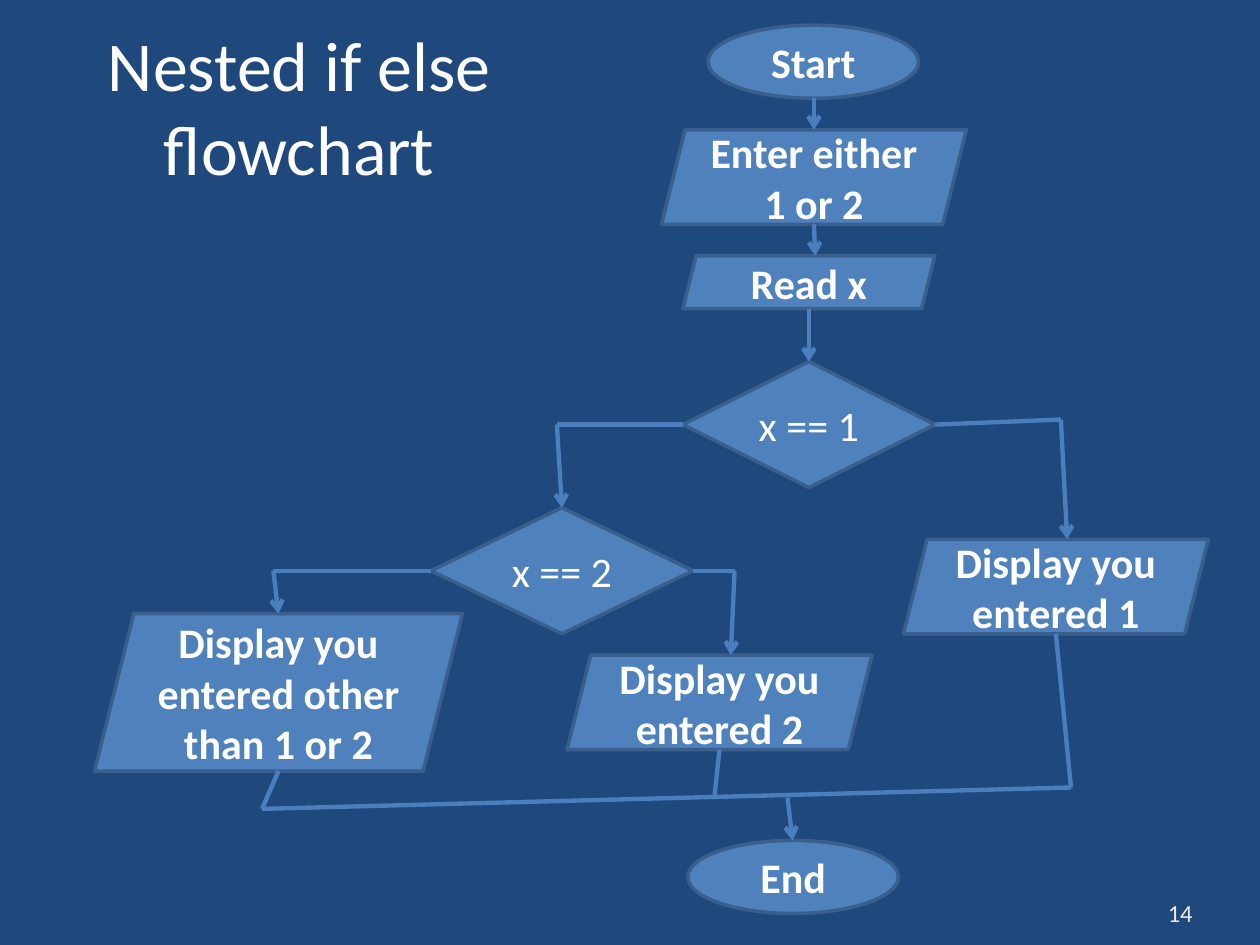
from itertools import pairwise
from lxml.etree import SubElement as Sub
from pptx import Presentation
from pptx.dml.color import RGBColor as RGB
from pptx.enum.shapes import MSO_CONNECTOR as Conn, MSO_SHAPE as Shape
from pptx.enum.text import MSO_ANCHOR as Anchor, PP_ALIGN as Align
from pptx.oxml.ns import qn
from pptx.util import Inches, Pt

OVAL, SLANT, GEM = Shape.OVAL, Shape.PARALLELOGRAM, Shape.DIAMOND

NODES = [
    (OVAL, "Start", 5.62, 0.2, 1.67, 0.58),
    (SLANT, "Enter either 1 or 2", 5.25, 1.03, 2.42, 0.75),
    (SLANT, "Read x", 5.42, 2.03, 2, 0.42),
    (GEM, "x == 1", 5.42, 2.87, 2, 1),
    (SLANT, "Display you entered 1", 7.17, 4.28, 2.42, 0.75),
    (GEM, "x == 2", 3.42, 4.03, 2.08, 1),
    (SLANT, "Display you entered 2", 4.5, 5.2, 2.42, 0.75),
    (SLANT, "Display you entered other than 1 or 2", 0.75, 4.87, 2.92, 1.25),
    (OVAL, "End", 5.46, 6.67, 1.67, 0.58),
]

FLOWS = [
    [(6.46, 0.78), (6.46, 1.03)],
    [(6.46, 1.78), (6.47, 2.03)],
    [(6.42, 2.45), (6.42, 2.87)],
    [(7.42, 3.37), (8.42, 3.33), (8.47, 4.28)],
    [(5.42, 3.37), (4.42, 3.37), (4.46, 4.03)],
    [(5.5, 4.53), (5.83, 4.53), (5.8, 5.2)],
    [(3.42, 4.53), (2.17, 4.53), (2.21, 4.87)],
    [(6.25, 6.33), (6.29, 6.67)],
]

JOINS = [
    [(2.21, 6.12), (2.08, 6.42), (8.5, 6.25), (8.38, 5.03)],
    [(5.71, 5.95), (5.67, 6.33)],
]


def paint(fmt, hue):
    """Give a fill a solid colour."""
    fmt.solid()
    fmt.fore_color.rgb = RGB.from_string(hue)


def write(shape, text, size, hue="FFFFFF", bold=False, align=Align.CENTER):
    """Put one styled run in a shape."""
    frame = shape.text_frame
    frame.word_wrap = True
    frame.vertical_anchor = Anchor.MIDDLE
    para = frame.paragraphs[0]
    para.alignment = align
    run = para.add_run()
    run.text = text
    font = run.font
    font.name, font.size, font.bold = "Calibri", Pt(size), bold
    paint(font.fill, hue)


def label(slide, box, text, size, **style):
    """Add a text box."""
    shape = slide.shapes.add_textbox(*map(Inches, box))
    write(shape, text, size, **style)


def node(slide, kind, text, *box):
    """Add one flowchart step."""
    shape = slide.shapes.add_shape(kind, *map(Inches, box))
    shape.shadow.inherit = False
    paint(shape.fill, "4F81BD")
    paint(shape.line.fill, "3A5F8C")
    shape.line.width = Pt(2)
    write(shape, text, 24, bold=kind != GEM)


def link(slide, start, end, arrow):
    """Add one straight line, with an arrowhead if asked."""
    ends = map(Inches, (*start, *end))
    wire = slide.shapes.add_connector(Conn.STRAIGHT, *ends)
    paint(wire.line.fill, "4B7EBC")
    wire.line.width = Pt(2.5)
    if arrow:
        Sub(wire.line._get_or_add_ln(), qn("a:tailEnd"), type="arrow")
    Sub(wire._element.spPr, qn("a:effectLst"))


def route(slide, points, arrow):
    """Join points in turn, with any arrowhead on the last part."""
    for start, end in pairwise(points):
        link(slide, start, end, arrow and end == points[-1])


def main():
    """Build the flowchart slide."""
    deck = Presentation()
    deck.slide_width, deck.slide_height = Inches(10), Inches(7.5)
    slide = deck.slides.add_slide(deck.slide_layouts[6])
    paint(slide.background.fill, "1F497D")
    label(slide, (9.17, 7.08, 0.67, 0.33), "14", 14, hue="EEECE1",
          align=Align.LEFT)
    label(slide, (0.5, 0.25, 3.75, 1.17), "Nested if else flowchart", 40)
    for step in NODES:
        node(slide, *step)
    for points in FLOWS:
        route(slide, points, True)
    for points in JOINS:
        route(slide, points, False)
    deck.save("out.pptx")


main()
